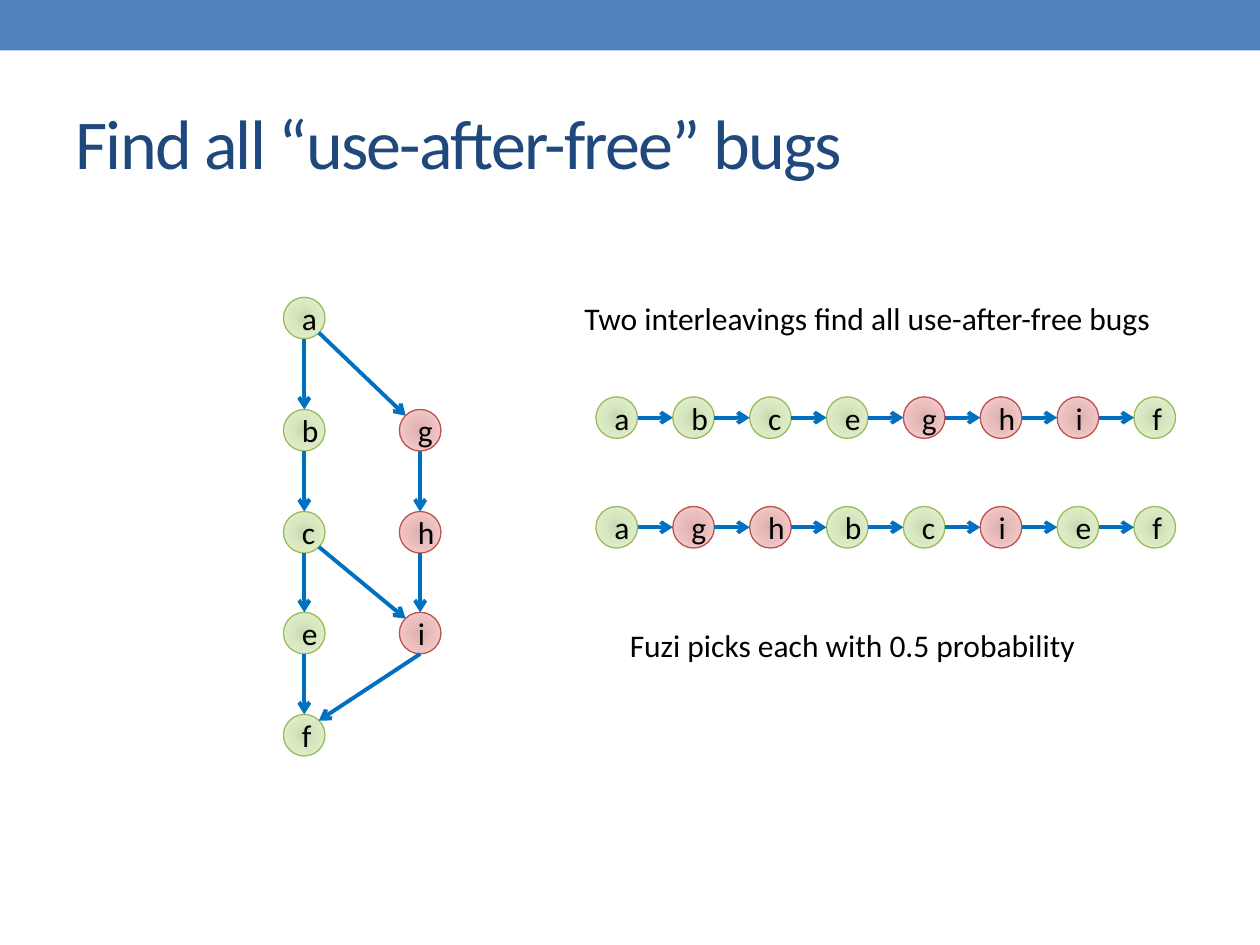
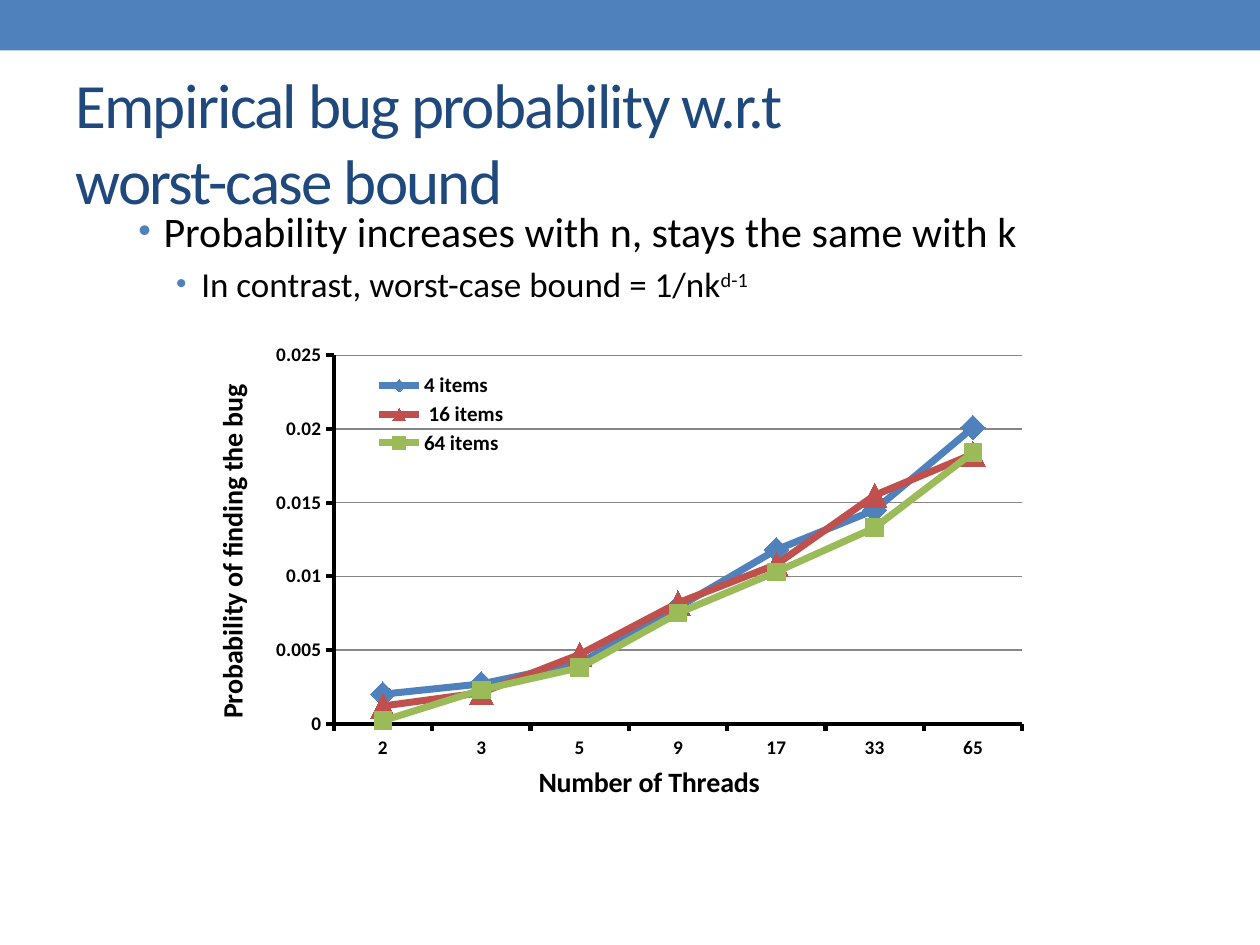
from pptx import Presentation
from pptx.chart.data import CategoryChartData
from pptx.dml.color import RGBColor
from pptx.enum.chart import XL_CHART_TYPE, XL_LEGEND_POSITION, XL_MARKER_STYLE, XL_TICK_MARK
from pptx.enum.shapes import MSO_CONNECTOR, MSO_SHAPE
from pptx.enum.text import MSO_ANCHOR, PP_ALIGN
from pptx.oxml import parse_xml
from pptx.oxml.ns import nsdecls, qn
from pptx.util import Inches, Pt

FONT = "Calibri"
BLUE, RED, GREEN = "4F81BD", "C0504D", "9BBB59"
NAVY, ARROW_BLUE, BLACK, GRID_GREY = "1F497D", "0070C0", "000000", "868686"
GREEN_SHADES = ("C8D7B2", "D8E8C0", "E9F3DC")
RED_SHADES = ("DAB0AF", "EBBEBD", "F4DBDB")


def rgb(hex_code):
    return RGBColor.from_string(hex_code)


def write(paragraph, text, size=18, color=BLACK, bold=None, align=None, spacing=None, baseline=None):
    """Append text to the paragraph; a newline becomes a line break."""
    if align is not None:
        paragraph.alignment = align
    for number, line in enumerate(text.split("\n")):
        if number:
            paragraph.add_line_break()
        run = paragraph.add_run()
        run.text = line
        run.font.name, run.font.size, run.font.bold = FONT, Pt(size), bold
        run.font.color.rgb = rgb(color)
        if spacing is not None:
            run._r.get_or_add_rPr().set("spc", str(spacing))
        if baseline is not None:
            run._r.get_or_add_rPr().set("baseline", str(baseline))


prs = Presentation()
prs.slide_width, prs.slide_height = Inches(10), Inches(7.5)

# Band and title on both slides
slides = []
for heading, size in (
    ("Find all “use-after-free” bugs", 40),
    ("Empirical bug probability w.r.t \nworst-case bound", 36),
):
    slide = prs.slides.add_slide(prs.slide_layouts[6])
    band = slide.shapes.add_shape(MSO_SHAPE.RECTANGLE, 0, 0, prs.slide_width, Inches(0.4))
    band.shadow.inherit = False
    band.fill.solid()
    band.fill.fore_color.rgb = rgb(BLUE)
    band.line.fill.background()
    title = slide.shapes.add_textbox(Inches(0.5), Inches(0.58), Inches(9), Inches(1.08)).text_frame
    title.word_wrap = True
    title.vertical_anchor = MSO_ANCHOR.MIDDLE
    write(title.paragraphs[0], heading, size=size, color=NAVY, spacing=-100)
    slides.append(slide)
graph_slide, chart_slide = slides

# Slide 1: event graph and its two interleavings
DIAMETER = 0.33
LEFT_X, RIGHT_X = 2.25, 3.17
RED_EVENTS = "ghi"
SIDES = {  # point on a node's rim, as a share of its diameter
    "top": (0.5, 0), "bottom": (0.5, 1), "left": (0, 0.5), "right": (1, 0.5),
    "top left": (0.15, 0.15), "top right": (0.85, 0.15), "bottom right": (0.85, 0.85),
}
graph = {
    "a": (LEFT_X, 2.36), "b": (LEFT_X, 3.25), "c": (LEFT_X, 4.06), "e": (LEFT_X, 4.86),
    "f": (LEFT_X, 5.67), "g": (RIGHT_X, 3.25), "h": (RIGHT_X, 4.06), "i": (RIGHT_X, 4.86),
}
nodes = [(event, place) for event, place in graph.items()]
arrows = [(graph[start], "bottom", graph[end], "top") for start, end in ("ab", "bc", "ce", "ef", "gh", "hi")]
arrows += [(graph[start], "bottom right", graph[end], "top left") for start, end in ("ag", "ci")]
arrows.append((graph["i"], "bottom", graph["f"], "top right"))

for order, top in (("abceghif", 3.15), ("aghbcief", 4.02)):
    places = [(4.73 + 0.61 * step, top) for step in range(len(order))]
    nodes += zip(order, places)
    arrows += [(start, "right", end, "left") for start, end in zip(places, places[1:])]

for event, (left, top) in nodes:
    is_red = event in RED_EVENTS
    node = graph_slide.shapes.add_shape(
        MSO_SHAPE.OVAL, Inches(left), Inches(top), Inches(DIAMETER), Inches(DIAMETER))
    node.shadow.inherit = False
    node.line.color.rgb = rgb(RED if is_red else GREEN)
    node.line.width = Pt(0.75)
    node.fill.gradient()
    stops = "".join(
        f'<a:gs pos="{position}"><a:srgbClr val="{shade}"/></a:gs>'
        for position, shade in zip((0, 45000, 100000), RED_SHADES if is_red else GREEN_SHADES))
    properties = node._element.spPr
    properties.replace(properties.find(qn("a:gradFill")), parse_xml(
        f'<a:gradFill {nsdecls("a")} rotWithShape="1"><a:gsLst>{stops}</a:gsLst><a:path path="circle">'
        '<a:fillToRect l="100000" t="100000" r="100000" b="100000"/></a:path></a:gradFill>'))
    node.text_frame.word_wrap = True
    node.text_frame.vertical_anchor = MSO_ANCHOR.MIDDLE
    write(node.text_frame.paragraphs[0], event, align=PP_ALIGN.CENTER)

for start, start_side, end, end_side in arrows:
    ends = [
        Inches(corner + share * DIAMETER)
        for place, side in ((start, start_side), (end, end_side))
        for corner, share in zip(place, SIDES[side])
    ]
    arrow = graph_slide.shapes.add_connector(MSO_CONNECTOR.STRAIGHT, *ends)
    arrow.line.color.rgb = rgb(ARROW_BLUE)
    arrow.line.width = Pt(2.25)
    arrow.line._get_or_add_ln().append(parse_xml(f'<a:tailEnd {nsdecls("a")} type="arrow"/>'))
    arrow._element.spPr.append(parse_xml(f'<a:effectLst {nsdecls("a")}/>'))

for remark, left, top, width, height in (
    ("Two interleavings find all use-after-free bugs", 4.54, 2.32, 4.76, 1.01),
    ("Fuzi picks each with 0.5 probability", 4.9, 4.92, 3.84, 0.4),
):
    caption = graph_slide.shapes.add_textbox(Inches(left), Inches(top), Inches(width), Inches(height))
    caption.text_frame.word_wrap = False
    write(caption.text_frame.paragraphs[0], remark)

# Slide 2: bullets
body = chart_slide.shapes.add_textbox(Inches(1), Inches(1.58), Inches(8.5), Inches(5)).text_frame
body.word_wrap = True
claim, contrast = body.paragraphs[0], body.add_paragraph()
write(claim, "Probability increases with n, stays the same with k", size=24)
write(contrast, "In contrast, worst-case bound = 1/nk", size=20)
write(contrast, "d-1", size=20, baseline=30000)
contrast.level = 1
for bullet, indent, gap in ((claim, 0.2, 4.8), (contrast, 0.5, 4)):
    bullet.space_before = Pt(gap)
    properties = bullet._p.get_or_add_pPr()
    properties.set("marL", str(Inches(indent)))
    properties.set("indent", str(Inches(-0.2)))
    for mark in (
        f'<a:buClr {nsdecls("a")}><a:srgbClr val="{BLUE}"/></a:buClr>',
        f'<a:buSzPct {nsdecls("a")} val="85000"/>',
        f'<a:buFont {nsdecls("a")} typeface="Arial"/>',
        f'<a:buChar {nsdecls("a")} char="•"/>',
    ):
        properties.append(parse_xml(mark))

# Slide 2: chart
measurements = (
    ("4 items ", (0.002, 0.0027, 0.0041, 0.0079, 0.0118, 0.0145, 0.0201), BLUE, XL_MARKER_STYLE.DIAMOND, 14),
    (" 16 items", (0.0012, 0.0021, 0.0047, 0.0082, 0.0108, 0.0155, 0.0183), RED, XL_MARKER_STYLE.TRIANGLE, 14),
    ("64 items", (0.0002, 0.0023, 0.0038, 0.0075, 0.0103, 0.0133, 0.0184), GREEN, XL_MARKER_STYLE.SQUARE, 10),
)
data = CategoryChartData()
data.categories = ["2", "3", "5", "9", "17", "33", "65"]
for name, values, *_ in measurements:
    data.add_series(name, values)
chart = chart_slide.shapes.add_chart(
    XL_CHART_TYPE.LINE_MARKERS, Inches(1.42), Inches(2.67), Inches(6.83), Inches(3.75), data).chart
chart.has_title = False
chart.font.name, chart.font.size = FONT, Pt(16)
chart.font.color.rgb = rgb(BLACK)
chart.plots[0].vary_by_categories = False

for series, (_, _, color, marker, size) in zip(chart.plots[0].series, measurements):
    series.smooth = False
    series.format.line.color.rgb = rgb(color)
    series.format.line.width = Pt(4)
    series.marker.style, series.marker.size = marker, size
    series.marker.format.fill.solid()
    series.marker.format.fill.fore_color.rgb = rgb(color)
    series.marker.format.line.fill.background()

for axis, label, width in (
    (chart.category_axis, "Number of Threads", 2.5),
    (chart.value_axis, "Probability of finding the bug", 2.25),
):
    write(axis.axis_title.text_frame.paragraphs[0], label, size=16, bold=True)
    axis.major_tick_mark, axis.minor_tick_mark = XL_TICK_MARK.OUTSIDE, XL_TICK_MARK.NONE
    axis.tick_labels.font.size, axis.tick_labels.font.bold = Pt(11), True
    axis.format.line.color.rgb = rgb(BLACK)
    axis.format.line.width = Pt(width)

probability = chart.value_axis
probability.axis_title.text_frame._txBody.bodyPr.set("rot", "-5400000")
probability.minimum_scale, probability.maximum_scale, probability.major_unit = 0, 0.025, 0.005
probability.tick_labels.number_format = "General"
probability.tick_labels.number_format_is_linked = False
probability.major_gridlines.format.line.color.rgb = rgb(GRID_GREY)
probability.major_gridlines.format.line.width = Pt(0.75)

chart.has_legend = True
chart.legend.position = XL_LEGEND_POSITION.RIGHT
chart.legend.include_in_layout = True
chart.legend.font.size, chart.legend.font.bold = Pt(12), True

# Fixed places for the plot area and the legend, as shares of the chart
plot_area, legend = chart._chartSpace.chart.plotArea, chart.legend._element
for old_layout in plot_area.findall(qn("c:layout")) + legend.findall(qn("c:layout")):
    old_layout.getparent().remove(old_layout)
for part, position, target, shares in (
    (plot_area, 0, '<c:layoutTarget val="inner"/>', (0.18, 0.04, 0.8, 0.78)),
    (legend, 1, "", (0.22, 0.07, 0.17, 0.19)),
):
    modes = '<c:xMode val="edge"/><c:yMode val="edge"/>'
    sizes = "".join(f'<c:{side} val="{share}"/>' for side, share in zip("xywh", shares))
    part.insert(position, parse_xml(
        f'<c:layout {nsdecls("c")}><c:manualLayout>{target}{modes}{sizes}</c:manualLayout></c:layout>'))

prs.save("out.pptx")
